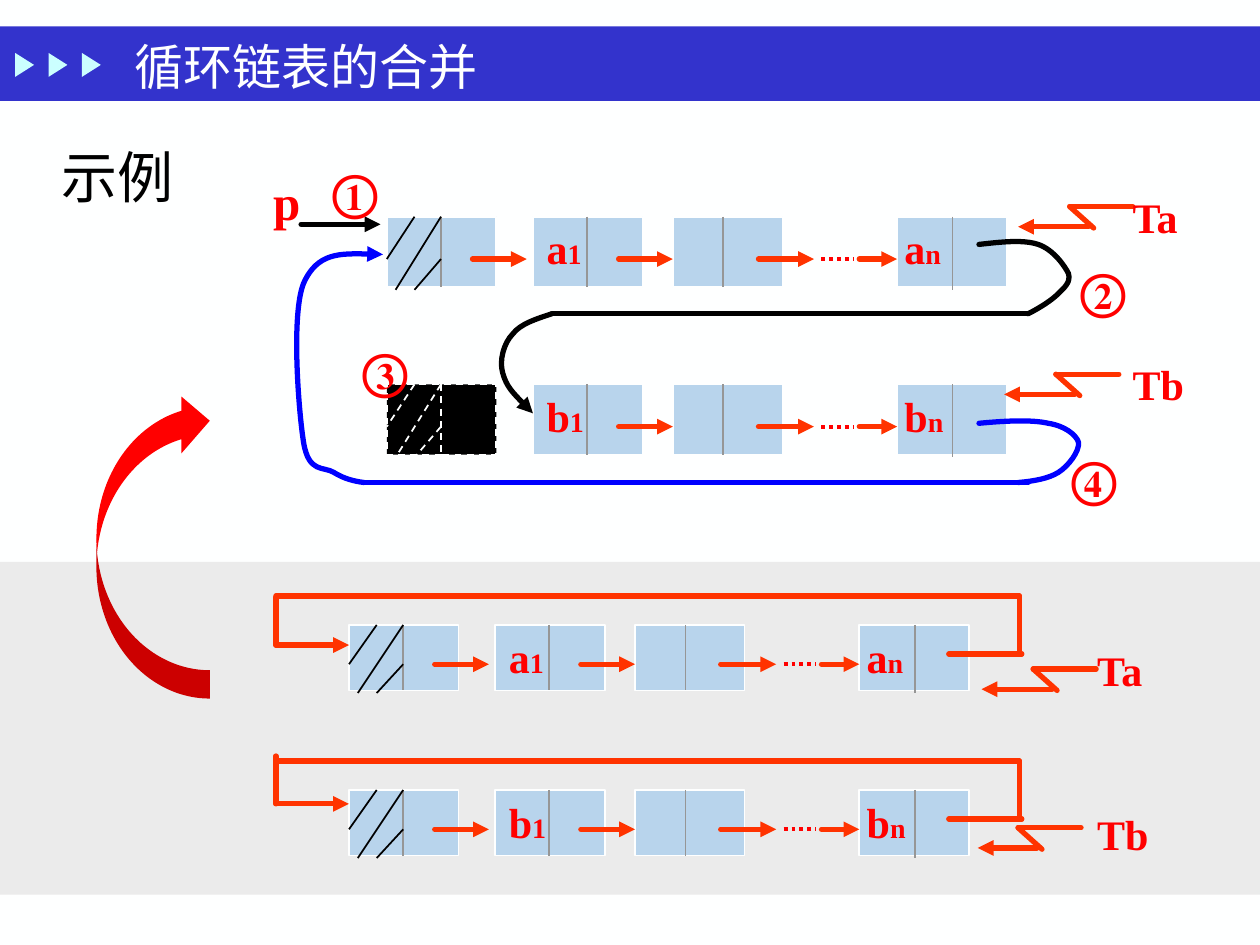
from lxml.etree import SubElement
from pptx import Presentation
from pptx.dml.color import RGBColor
from pptx.enum.dml import MSO_LINE
from pptx.enum.shapes import MSO_CONNECTOR, MSO_SHAPE
from pptx.enum.text import MSO_ANCHOR, MSO_AUTO_SIZE
from pptx.oxml.ns import qn
from pptx.util import Inches, Pt

COLORS = {
    "white": "FEFFFF", "black": "000000", "banner": "3333CC",
    "marker": "CBFFFF", "band": "EBEBEB", "cell": "B8D4EC",
    "link": "FF3300", "label": "FF0000", "divider": "969696", "blue": "0000FF",
}
FONT = "Times New Roman"
CELL_OFFSETS = (0, 1.16, 2.27, 4.05)
DIVIDER_OFFSETS = (0.43, 1.59, 2.67, 4.49)
LINK_OFFSETS = ((0.68, 1.11), (1.84, 2.27), (2.95, 3.39), (3.75, 4.05))
CELL_WIDTH = 0.87
LINK_WEIGHT = 3


def color(name):
    return RGBColor.from_string(COLORS[name])


def style_line(line, name, width, dash=None, arrow=False):
    line.color.rgb = color(name)
    line.width = Pt(width)
    if dash:
        line.dash_style = dash
    outline = line._get_or_add_ln()
    if width == LINK_WEIGHT:
        outline.set("cap", "rnd")
    if arrow:
        SubElement(outline, qn("a:tailEnd"), type="triangle")


def add_block(slide, kind, left, top, width, height, fill, outline=None, dash=None):
    block = slide.shapes.add_shape(
        kind, Inches(left), Inches(top), Inches(width), Inches(height))
    block.shadow.inherit = False
    block.fill.solid()
    block.fill.fore_color.rgb = color(fill)
    if outline:
        style_line(block.line, outline, 1, dash)
    else:
        block.line.fill.background()
    return block


def add_line(slide, start, end, name="link", width=LINK_WEIGHT, dash=None, arrow=False):
    line = slide.shapes.add_connector(
        MSO_CONNECTOR.STRAIGHT, *(Inches(v) for v in (*start, *end)))
    style_line(line.line, name, width, dash, arrow)
    SubElement(line._element.spPr, qn("a:effectLst"))


def add_curve(slide, points, name, arrow=False):
    """Draw Bezier segments: a start point, then three points per segment."""
    start, *rest = [(Inches(x), Inches(y)) for x, y in points]
    builder = slide.shapes.build_freeform(*start)
    builder.add_line_segments(rest, close=False)
    curve = builder.convert_to_shape()
    curve.shadow.inherit = False
    curve.fill.background()
    style_line(curve.line, name, LINK_WEIGHT, arrow=arrow)
    steps = list(curve._element.iter(qn("a:lnTo")))
    outline = steps[0].getparent()
    for first in range(0, len(steps), 3):
        segment = SubElement(outline, qn("a:cubicBezTo"))
        for step in steps[first:first + 3]:
            segment.append(step[0])
            outline.remove(step)


def add_text(slide, text, left, top, width, height, size=24, name="label",
             bold=True, subscript="", wrap=True, title=False):
    box = slide.shapes.add_textbox(
        Inches(left), Inches(top), Inches(width), Inches(height))
    frame = box.text_frame
    frame.word_wrap = wrap
    paragraph = frame.paragraphs[0]
    if title:
        frame.vertical_anchor = MSO_ANCHOR.MIDDLE
    else:
        frame.auto_size = MSO_AUTO_SIZE.SHAPE_TO_FIT_TEXT
        spacing = SubElement(paragraph._p.get_or_add_pPr(), qn("a:spcBef"))
        SubElement(spacing, qn("a:spcPct"), val="20000")
    for part, part_size in ((text, size), (subscript, 16)):
        if part:
            run = paragraph.add_run()
            run.text = part
            run.font.name = FONT
            run.font.size = Pt(part_size)
            run.font.bold = bold
            run.font.color.rgb = color(name)


def add_chain(slide, letter, left, top, height, head_removed=False):
    """Draw a head node and the nodes 1, blank and n, linked in a row."""
    link_y = top + 0.6 * height
    bottom = top + height
    low = bottom + 0.02
    dash = MSO_LINE.DASH if head_removed else None
    for index, (cell, divider) in enumerate(zip(CELL_OFFSETS, DIVIDER_OFFSETS)):
        removed = head_removed and index == 0
        add_block(slide, MSO_SHAPE.RECTANGLE, left + cell, top, CELL_WIDTH, height,
                  "black" if removed else "cell", "white", dash if removed else None)
        x = left + divider
        add_line(slide, (x, top), (x, low if index == 3 else bottom),
                 "white" if removed else "divider", 1, dash if removed else None)
    for start, end in LINK_OFFSETS[1 if head_removed else 0:]:
        add_line(slide, (left + start, link_y), (left + end, link_y), arrow=True)
    add_line(slide, (left + 3.45, link_y), (left + 3.7, link_y), "label", 2.25,
             MSO_LINE.ROUND_DOT)
    hatching = (((0.22, top), (0, link_y)), ((0.43, top), (0.07, low)),
                ((0.43, link_y), (0.22, low)))
    for (x1, y1), (x2, y2) in hatching:
        add_line(slide, (left + x1, y1), (left + x2, y2),
                 "white" if head_removed else "black", 1, dash)
    add_text(slide, letter, left + 1.17, top, 0.5, 0.5, subscript="1")
    add_text(slide, letter, left + 4.01, top, 0.62, 0.5, subscript="n")


def add_return_loop(slide, left, top, entry_y):
    """Link the last node of a chain back to its head."""
    start_x, end_x, loop_y, exit_y = left - 0.58, left + 5.32, top - 0.23, top + 0.23
    add_line(slide, (start_x, loop_y), (end_x, loop_y))
    add_line(slide, (start_x, entry_y - 0.38), (start_x, entry_y))
    add_line(slide, (start_x, entry_y), (left, entry_y), arrow=True)
    add_line(slide, (end_x, loop_y), (end_x, exit_y))
    add_line(slide, (left + 4.76, exit_y), (end_x + 0.02, exit_y))


def add_tail_pointer(slide, text, x, y, text_x, text_y, reach=0.41):
    """Draw a zigzag arrow with its first bend at x, y."""
    add_line(slide, (x + 0.5, y), (x, y))
    add_line(slide, (x, y), (x + 0.19, y + 0.17))
    add_line(slide, (x + 0.15, y + 0.16), (x - reach, y + 0.16), arrow=True)
    add_text(slide, text, text_x, text_y, 0.75, 0.5)


def add_header(slide):
    add_block(slide, MSO_SHAPE.RECTANGLE, 0, 0.21, 10, 0.59, "banner")
    for index in range(3):
        marker = add_block(slide, MSO_SHAPE.ISOSCELES_TRIANGLE,
                           0.1 + index * 0.265, 0.44, 0.19, 0.15, "marker")
        marker.rotation = 90
    add_text(slide, "循环链表的合并", 0.97, 0.15, 7.84, 0.75, size=28,
             name="white", bold=False, title=True)
    add_text(slide, "示例", 0.39, 1.08, 1.26, 0.64, size=32, name="black", bold=False)


def add_separate_lists(slide):
    left = 2.77
    for letter, top, entry_y in (("a", 4.96, 5.12), ("b", 6.27, 6.38)):
        add_chain(slide, letter, left, top, 0.52)
        add_return_loop(slide, left, top, entry_y)
    add_tail_pointer(slide, "Ta", 8.2, 5.31, 8.61, 5.07)
    add_tail_pointer(slide, "Tb", 8.08, 6.57, 8.61, 6.37, reach=0.32)


def add_merged_list(slide):
    add_chain(slide, "a", 3.07, 1.72, 0.56)
    add_chain(slide, "b", 3.07, 3.05, 0.56, head_removed=True)

    add_curve(slide, [(7.77, 1.94), (7.95, 1.92), (8.12, 1.9), (8.24, 1.94),
                      (8.36, 1.98), (8.45, 2.11), (8.48, 2.17), (8.5, 2.24),
                      (8.45, 2.28), (8.4, 2.33), (8.35, 2.38), (8.26, 2.44),
                      (8.16, 2.49)], "black")
    add_line(slide, (4.38, 2.49), (8.16, 2.49), "black")
    add_curve(slide, [(4.38, 2.49), (4.26, 2.53), (4.13, 2.57), (4.07, 2.65),
                      (4, 2.72), (3.96, 2.86), (3.99, 2.96), (4.02, 3.07),
                      (4.12, 3.17), (4.23, 3.28)], "black", arrow=True)

    add_curve(slide, [(7.77, 3.36), (7.98, 3.34), (8.19, 3.33), (8.32, 3.36),
                      (8.45, 3.38), (8.54, 3.45), (8.56, 3.51), (8.57, 3.58),
                      (8.48, 3.7), (8.4, 3.75), (8.32, 3.8), (8.2, 3.82),
                      (8.08, 3.83)], "blue")
    add_line(slide, (2.89, 3.83), (8.16, 3.83), "blue")
    add_curve(slide, [(2.89, 3.83), (2.81, 3.82), (2.73, 3.8), (2.65, 3.75),
                      (2.57, 3.7), (2.45, 3.76), (2.41, 3.51), (2.37, 3.26),
                      (2.31, 2.5), (2.41, 2.25), (2.52, 2), (2.78, 2.01),
                      (3.04, 2.02)], "blue", arrow=True)

    add_line(slide, (2.39, 1.78), (3.02, 1.78), "black", arrow=True)
    add_text(slide, "p", 2.07, 1.31, 0.48, 0.57, size=28)
    add_text(slide, "①", 2.54, 1.23, 0.44, 0.57, size=28)
    for step, left, top in (("②", 8.48, 2.02), ("③", 2.78, 2.65), ("④", 8.41, 3.51)):
        add_text(slide, step, left, top, 0.6, 0.57, size=28, wrap=False)
    add_tail_pointer(slide, "Ta", 8.49, 1.64, 8.89, 1.47)
    add_tail_pointer(slide, "Tb", 8.38, 2.97, 8.89, 2.8)


def add_merge_arrow(slide):
    arrow = add_block(slide, MSO_SHAPE.CURVED_UP_ARROW, 0, 3.88, 2.43, 0.9, "label")
    arrow.rotation = 270
    arrow._element.spPr.xfrm.set("flipV", "1")
    for index, value in enumerate((0.25, 0.5, 0.25)):
        arrow.adjustments[index] = value


def main():
    deck = Presentation()
    deck.slide_width, deck.slide_height = Inches(10), Inches(7.5)
    slide = deck.slides.add_slide(deck.slide_layouts[6])
    slide.background.fill.solid()
    slide.background.fill.fore_color.rgb = color("white")
    add_block(slide, MSO_SHAPE.RECTANGLE, 0, 4.46, 10, 2.64, "band")
    add_header(slide)
    add_separate_lists(slide)
    add_merged_list(slide)
    add_merge_arrow(slide)
    deck.save("out.pptx")


if __name__ == "__main__":
    main()
